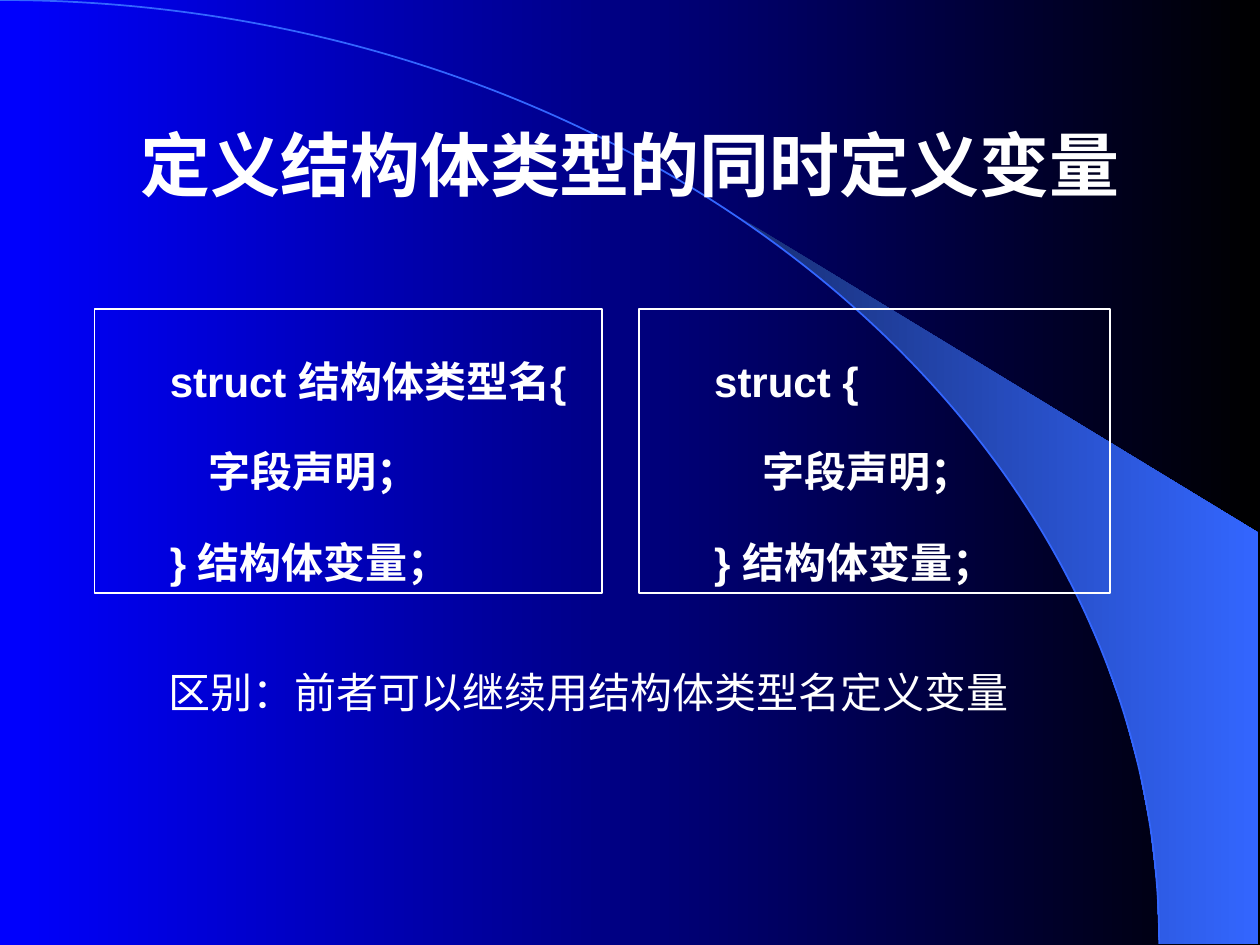
from math import acos, cos, sin

from lxml.etree import SubElement
from pptx import Presentation
from pptx.dml.color import RGBColor
from pptx.enum.shapes import MSO_SHAPE as Shape
from pptx.enum.text import MSO_ANCHOR as Anchor, PP_ALIGN as Align
from pptx.oxml.ns import qn
from pptx.util import Inches, Pt

# Content
TITLE = "定义结构体类型的同时定义变量"
# Each definition: left, width, lines as (text, extra indent)
DEFINITIONS = [
    (0.75, 4.03, [("struct 结构体类型名{", 0), ("字段声明；", 0.31), ("} 结构体变量；", 0)]),
    (5.07, 3.74, [("struct {", 0), ("字段声明；", 0.38), ("} 结构体变量；", 0)]),
]
DIFFERENCE = "区别：前者可以继续用结构体类型名定义变量"

WIDTH, HEIGHT = 10, 7.5
ARC_X, ARC_Y = 9.2, 7.49  # radii of the quarter ellipse, centred bottom left
ARC_HANDLE = 0.55  # Bézier handle length as a share of the radius
WEDGE_X, WEDGE_RIGHT, WEDGE_TURN, WEDGE_STEPS = 5.89, 9.99, 4.23, 14
BOX_TOP, BOX_HEIGHT, BOX_INDENT = 2.45, 2.26, 0.5
FONT, WHITE, BLUE = "Arial", "FFFFFF", "3366FF"


def rgb(color):
    return RGBColor.from_string(color)


def fill_gradient(fill, colors):
    fill.gradient()
    fill.gradient_angle = 0
    for stop, color in zip(fill.gradient_stops, colors):
        stop.color.rgb = rgb(color)


def add_outline(points, close):
    start, *rest = [(Inches(x), Inches(y)) for x, y in points]
    builder = slide.shapes.build_freeform(*start)
    builder.add_line_segments(rest, close=close)
    outline = builder.convert_to_shape()
    outline.shadow.inherit = False
    return outline


def set_line(shape, color):
    shape.line.color.rgb = rgb(color)
    shape.line.width = Pt(1)


def write(shape, lines, size, bold, anchor=Anchor.TOP, align=Align.LEFT):
    frame = shape.text_frame
    frame.word_wrap = True
    frame.vertical_anchor = anchor
    frame.text = "\n".join(lines)
    for paragraph in frame.paragraphs:
        paragraph.alignment = align
        for run in paragraph.runs:
            run.font.name = FONT
            run.font.size = Pt(size)
            run.font.bold = bold
            run.font.color.rgb = rgb(WHITE)
    return frame.paragraphs


def add_text(left, top, width, height):
    return slide.shapes.add_textbox(*map(Inches, (left, top, width, height)))


prs = Presentation()
prs.slide_width, prs.slide_height = Inches(WIDTH), Inches(HEIGHT)
slide = prs.slides.add_slide(prs.slide_layouts[6])
fill_gradient(slide.background.fill, ["0000FF", "000000"])

# Wedge between the arc and the right edge
wedge_start = acos(WEDGE_X / ARC_X)
wedge_angles = [wedge_start * (1 - i / WEDGE_STEPS) for i in range(WEDGE_STEPS + 1)]
wedge_edge = [(ARC_X * cos(a), ARC_Y * (1 - sin(a))) for a in wedge_angles]
wedge = add_outline(
    wedge_edge + [(WEDGE_RIGHT, ARC_Y), (WEDGE_RIGHT, WEDGE_TURN)], close=True)
fill_gradient(wedge.fill, ["182F76", BLUE])
wedge.line.fill.background()

# Thin arc from top left to bottom right: the straight segment becomes a curve
arc = add_outline([(0, 0), (ARC_X, ARC_Y)], close=False)
arc.fill.background()
set_line(arc, BLUE)
curve = arc._element.xpath(".//a:lnTo")[0]
curve.tag = qn("a:cubicBezTo")
curve.remove(curve[0])
for x, y in [(ARC_X * ARC_HANDLE, 0), (ARC_X, ARC_Y * (1 - ARC_HANDLE)), (ARC_X, ARC_Y)]:
    SubElement(curve, qn("a:pt"), x=str(Inches(x)), y=str(Inches(y)))

# Title
write(add_text(0.75, 0.67, 8.5, 1.25), [TITLE], 40, True,
      Anchor.MIDDLE, Align.CENTER)

# The two ways to define the variable
for left, width, code in DEFINITIONS:
    box = slide.shapes.add_shape(
        Shape.RECTANGLE, *map(Inches, (left, BOX_TOP, width, BOX_HEIGHT)))
    box.shadow.inherit = False
    box.fill.background()
    set_line(box, WHITE)
    paragraphs = write(box, [text for text, _ in code], 24, True)
    for paragraph, (_, extra) in zip(paragraphs, code):
        paragraph.level = 1
        paragraph.line_spacing = 1.8
        properties = paragraph._p.get_or_add_pPr()
        properties.set("marL", str(Inches(BOX_INDENT + extra)))
        properties.set("indent", "0")

# Difference between them
note = write(add_text(1.24, 5.24, 7.04, 0.5), [DIFFERENCE], 24, False)
note[0].space_before = Pt(15)

prs.save("out.pptx")
